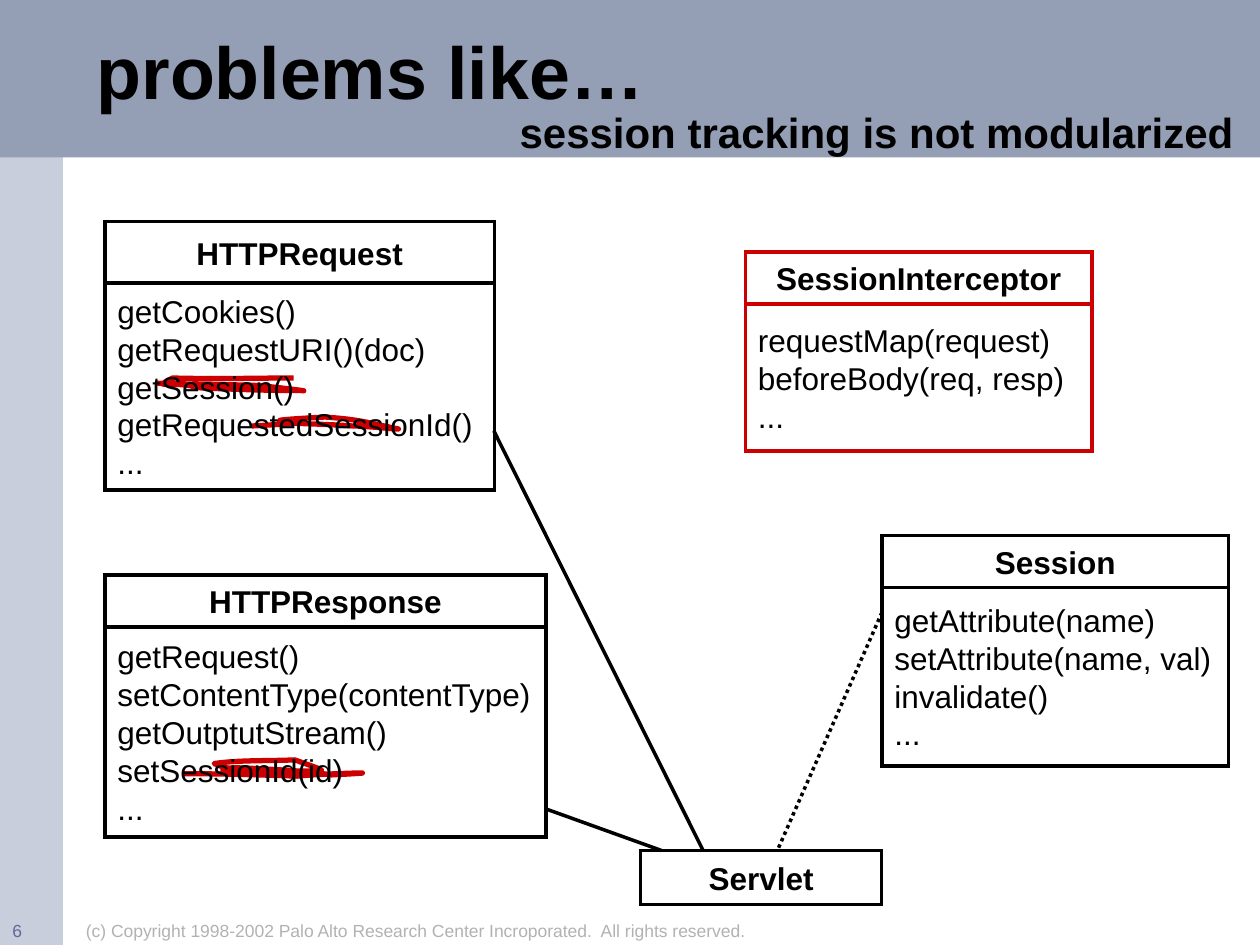
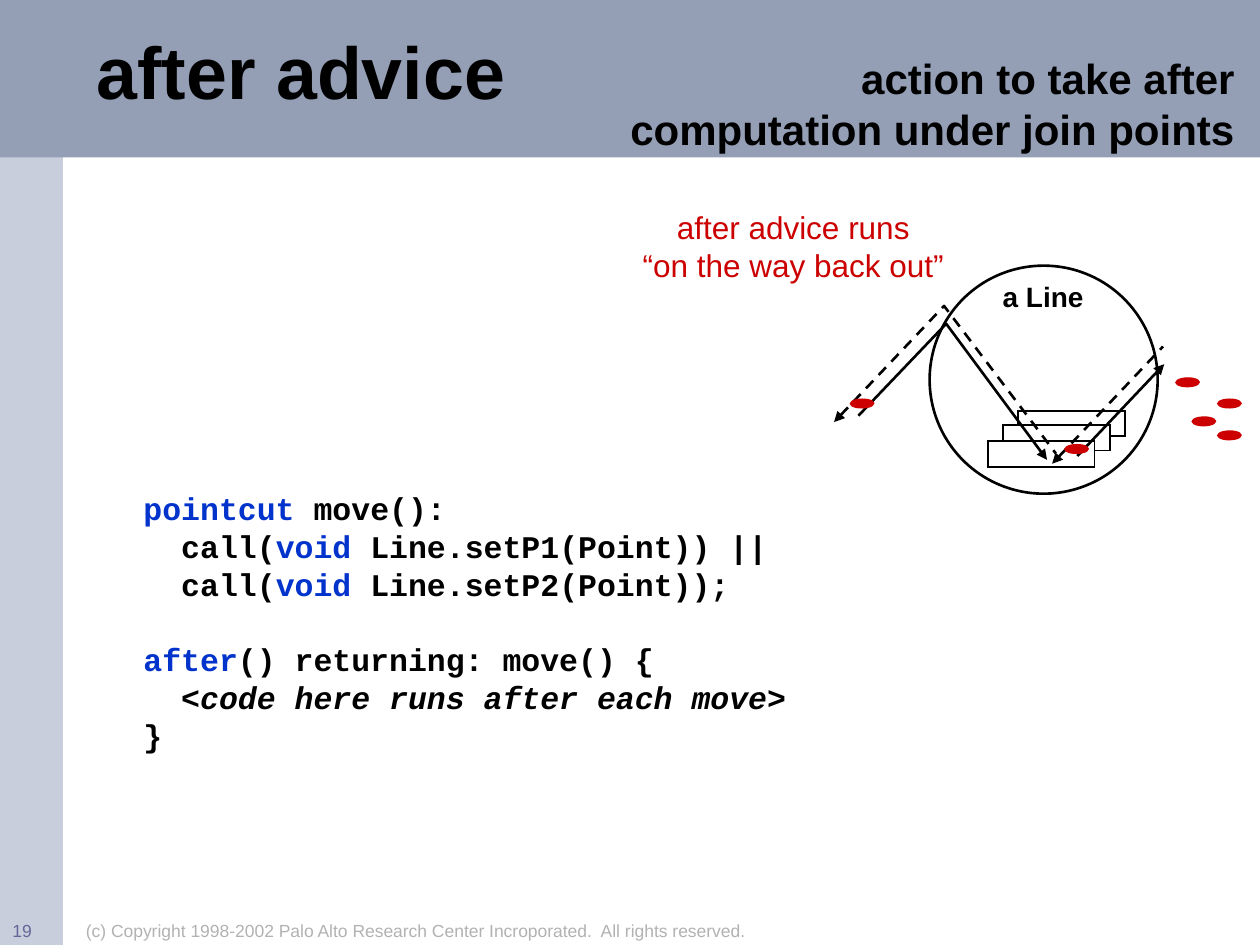
from lxml.etree import SubElement
from pptx import Presentation
from pptx.dml.color import RGBColor
from pptx.enum.dml import MSO_LINE_DASH_STYLE as Dash
from pptx.enum.shapes import MSO_CONNECTOR, MSO_SHAPE as Preset
from pptx.enum.text import MSO_ANCHOR as Anchor, MSO_AUTO_SIZE, PP_ALIGN as Align
from pptx.oxml.ns import qn
from pptx.util import Pt

BLACK, WHITE, RED, BLUE = "000000", "FFFFFF", "CC0000", "0033CC"
BANDS = [((0, 0, 36, 540), "C8CEDC"), ((0, 0, 720, 90), "949FB6")]
TITLE_BOX = (48, 6, 600, 75.6)
COPYRIGHT = "(c) Copyright 1998-2002 Palo Alto Research Center Incroporated.  All rights reserved."

TRACKING = {
    "title": "problems like…",
    "subtitle": "session tracking is not modularized",
    "subtitle_box": (275.8, 57.6, 436.3, 36),
    "number": "6",
}
ADVICE = {
    "title": "after advice",
    "subtitle": "action to take after\ncomputation under join points",
    "subtitle_box": (246, 26.6, 466.6, 64.8),
    "number": "19",
}

CLASSES = [
    ("HTTPRequest", (60, 126.7, 222.5), 35.2, 118, BLACK,
     ["getCookies()", "getRequestURI()(doc)", "getSession()\ngetRequestedSessionId()", "..."]),
    ("HTTPResponse", (60, 328.5, 252), 29.7, 120, BLACK,
     ["getRequest()", "setContentType(contentType)", "getOutptutStream()\nsetSessionId(id)", "..."]),
    ("SessionInterceptor", (426, 144, 198), 29.7, 84.2, RED,
     ["requestMap(request)", "beforeBody(req, resp)", "..."]),
    ("Session", (504, 306, 198), 29.7, 102, BLACK,
     ["getAttribute(name)", "setAttribute(name, val)", "invalidate()", "..."]),
    ("Servlet", (366, 486, 137.8), 31, 0, BLACK, []),
]
ASSOCIATIONS = [
    ([(282.2, 246.2), (401.8, 486)], None),
    ([(504, 349.9), (444.2, 486)], Dash.ROUND_DOT),
    ([(311.8, 462.2), (378, 486)], None),
]
SCRIBBLES = [
    [(144, 243.4),
     (211.7, 239.8), (118.1, 241.9), (185.8, 238.3),
     (205.9, 239.8), (208.8, 241.2), (226.1, 244.8),
     (234, 246.2), (210.2, 243.4), (201.6, 243.4),
     (190.8, 242.6), (168.5, 241.9), (168.5, 241.9)],
    [(126, 440.6),
     (189.4, 439.2), (195.8, 444.2), (168.5, 434.2),
     (153.4, 434.9), (136.8, 434.2), (122.4, 436.3),
     (133.2, 440.6), (124.6, 437.8), (146.9, 439.2),
     (161.3, 439.9), (175.7, 440.6), (189.4, 442.8),
     (234, 440.6), (182.2, 442.1), (169.9, 443.5),
     (148.3, 442.8), (126, 442.1), (104.4, 442.1)],
    [(89.3, 218.9),
     (108.7, 219.6), (128.2, 219.6), (147.6, 220.3),
     (155.5, 221), (180, 223.9), (172.1, 223.2),
     (153.4, 223.2), (135.4, 222.5), (117.4, 221.8),
     (113.8, 221.8), (110.9, 221), (108, 220.3),
     (91.4, 218.2), (88.6, 221.8), (98.6, 216),
     (127.4, 216.7), (143.3, 216), (167.8, 216)],
]

KEYWORD, COMMENT = {"color": BLUE}, {"italic": True}
POINTCUT = [
    [("  pointcut", KEYWORD), " move():"],
    ["    call(", ("void ", KEYWORD), "Line.setP1(Point)) ||"],
    ["    call(", ("void ", KEYWORD), "Line.setP2(Point));"],
]
AFTER = [
    ["  ", ("after", KEYWORD), "() returning: move() {"],
    ["    ", ("<code here runs after each move>", COMMENT)],
    "  }",
]
POINT_BOXES = [(581.8, 234.7), (573.3, 242.9), (564.5, 252.2)]
CALL_PATHS = [
    ([(476.6, 241.2), (539.5, 174.8), (603.4, 259.2)], "headEnd"),
    ([(490.5, 237.6), (540.7, 185), (598.3, 262.8)], "tailEnd"),
    ([(601.2, 265), (664.6, 198)], "headEnd"),
    ([(615.6, 260.6), (665.3, 208.1)], "tailEnd"),
]
ADVICE_DOTS = [(492.6, 230.6), (615.2, 256.6), (687.9, 240.8),
               (702.5, 248.8), (678.6, 218.5), (702.5, 230.6)]
DOT_WIDTH, DOT_HEIGHT, DOT_ANGLE = 5, 13.4, 89.3


def rgb(value):
    return RGBColor.from_string(value)


def points(values):
    return [Pt(value) for value in values]


def write(shape, lines, size=18, color=BLACK, bold=False, italic=False, font="Arial",
          align=Align.LEFT, anchor=Anchor.TOP, wrap=True, leading=None, gaps=None, inset=3.6):
    frame = shape.text_frame
    frame.auto_size = MSO_AUTO_SIZE.NONE
    frame.word_wrap = wrap
    frame.vertical_anchor = anchor
    frame.margin_top = Pt(inset)
    for index, line in enumerate(lines):
        paragraph = frame.add_paragraph() if index else frame.paragraphs[0]
        paragraph.alignment = align
        paragraph.line_spacing = leading or Pt(1.2 * size)
        paragraph.space_before = Pt((gaps or {}).get(index, 0))
        for part in [line] if isinstance(line, str) else line:
            text, style = (part, {}) if isinstance(part, str) else part
            for row, words in enumerate(text.split("\n")):
                if row:
                    paragraph.add_line_break()
                run = paragraph.add_run()
                run.text = words
                run.font.name = font
                run.font.size = Pt(size)
                run.font.bold = bold
                run.font.italic = style.get("italic", italic)
                run.font.color.rgb = rgb(style.get("color", color))


def add_text(slide, box, lines, **style):
    write(slide.shapes.add_textbox(*points(box)), lines, **style)


def add_box(slide, preset, box, fill=None, line=None, width=2):
    shape = slide.shapes.add_shape(preset, *points(box))
    shape.shadow.inherit = False
    if fill:
        shape.fill.solid()
        shape.fill.fore_color.rgb = rgb(fill)
    else:
        shape.fill.background()
    if line:
        shape.line.color.rgb = rgb(line)
        shape.line.width = Pt(width)
        SubElement(shape.element.spPr.find(qn("a:ln")), qn("a:miter"), lim="800000")
    else:
        shape.line.fill.background()
    return shape


def bend(shape):
    for outline in shape.element.iter(qn("a:path")):
        segments = outline.findall(qn("a:lnTo"))
        for first in range(0, len(segments), 3):
            curve = SubElement(outline, qn("a:cubicBezTo"))
            for segment in segments[first:first + 3]:
                curve.append(segment[0])
                outline.remove(segment)


def add_stroke(slide, corners, color=BLACK, width=2, dash=None, arrow=None, curved=False):
    corners = [tuple(points(corner)) for corner in corners]
    if len(corners) == 2:
        shape = slide.shapes.add_connector(MSO_CONNECTOR.STRAIGHT, *corners[0], *corners[1])
    else:
        builder = slide.shapes.build_freeform(*corners[0])
        builder.add_line_segments(corners[1:], close=False)
        shape = builder.convert_to_shape()
        shape.fill.background()
    if curved:
        bend(shape)
    shape.line.color.rgb = rgb(color)
    shape.line.width = Pt(width)
    if dash:
        shape.line.dash_style = dash
    properties = shape.element.spPr
    if arrow:
        SubElement(properties.find(qn("a:ln")), qn(f"a:{arrow}"), type="triangle")
    SubElement(properties, qn("a:effectLst"))


def add_bands(slide):
    layout_tree = slide.slide_layout.shapes.element
    for position, (box, color) in enumerate(BANDS, start=2):
        layout_tree.insert(position, add_box(slide, Preset.RECTANGLE, box, fill=color).element)


def add_slide(presentation, content, draw):
    slide = presentation.slides.add_slide(presentation.slide_layouts[5])
    title = slide.shapes.title
    title.left, title.top, title.width, title.height = points(TITLE_BOX)
    write(title, [content["title"]], size=42, bold=True, anchor=Anchor.MIDDLE, leading=0.85)
    draw(slide)
    add_text(slide, content["subtitle_box"], [content["subtitle"]], size=24, bold=True, align=Align.RIGHT)
    add_text(slide, (42, 522, 402, 18), [COPYRIGHT], size=10, color="B2B2B2")
    add_text(slide, (0, 522, 36, 18), [content["number"]], size=10, color="666699")
    return slide


def add_class(slide, name, place, head_height, body_height, color, methods):
    left, top, width = place
    head = add_box(slide, Preset.RECTANGLE, (left, top, width, head_height), line=color)
    write(head, [name], bold=True, align=Align.CENTER, anchor=Anchor.MIDDLE, wrap=False)
    if methods:
        body = add_box(slide, Preset.RECTANGLE, (left, top + head_height, width, body_height), line=color)
        write(body, methods, anchor=Anchor.MIDDLE, wrap=False)


def draw_tracking(slide):
    for scribble in SCRIBBLES:
        add_stroke(slide, scribble, color=RED, width=3, curved=True)
    for entry in CLASSES:
        add_class(slide, *entry)
    for ends, dash in ASSOCIATIONS:
        add_stroke(slide, ends, dash=dash)


def draw_advice(slide):
    add_text(slide, (53.3, 167.8, 403.2, 288), POINTCUT + AFTER, font="Courier New",
             bold=True, wrap=False, gaps={len(POINTCUT): 21.6}, inset=111.8)
    for left, top in POINT_BOXES:
        add_box(slide, Preset.RECTANGLE, (left, top, 61, 14.5), fill=WHITE, line=BLACK, width=1)
    add_box(slide, Preset.OVAL, (531.2, 151.8, 130.3, 130.3), line=BLACK, width=1.5)
    add_text(slide, (560.4, 156.4, 71.3, 26.6), ["a Line"], size=16, bold=True, align=Align.CENTER)
    add_text(slide, (360, 115.2, 186.5, 50.4), ["after advice runs\n“on the way back out”"],
             color=RED, align=Align.CENTER, wrap=False)
    for corners, arrow in CALL_PATHS:
        add_stroke(slide, corners, width=1.5, arrow=arrow,
                   dash=Dash.DASH if arrow == "headEnd" else None)
    for x, y in ADVICE_DOTS:
        box = (x - DOT_WIDTH / 2, y - DOT_HEIGHT / 2, DOT_WIDTH, DOT_HEIGHT)
        dot = add_box(slide, Preset.OVAL, box, fill=RED, line=RED, width=0.75)
        dot.rotation = DOT_ANGLE


def main():
    presentation = Presentation()
    presentation.slide_width, presentation.slide_height = Pt(720), Pt(540)
    tracking = add_slide(presentation, TRACKING, draw_tracking)
    add_bands(tracking)
    add_slide(presentation, ADVICE, draw_advice)
    presentation.save("out.pptx")


if __name__ == "__main__":
    main()
